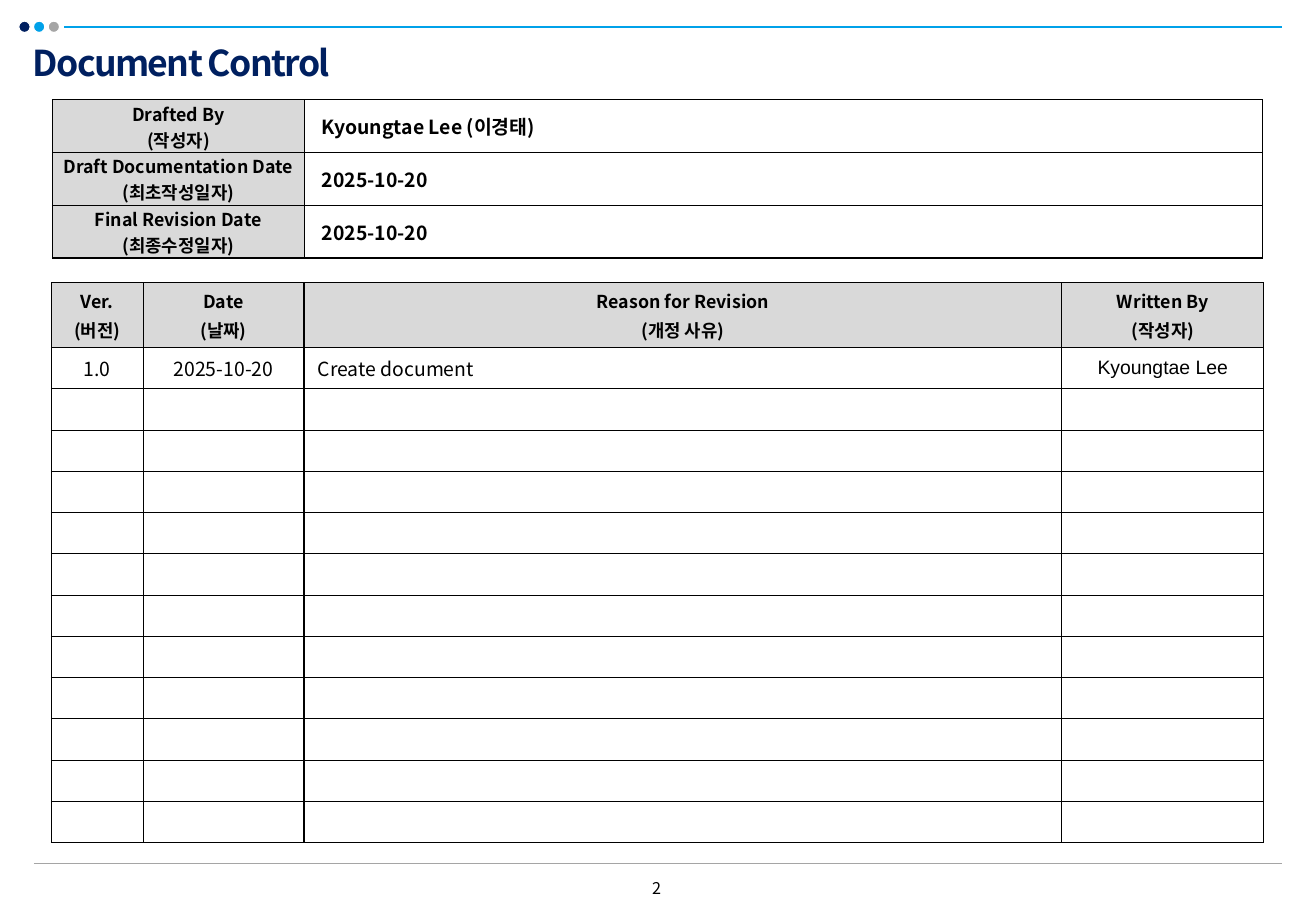
from lxml.etree import SubElement
from pptx import Presentation
from pptx.dml.color import RGBColor
from pptx.enum.shapes import MSO_CONNECTOR, MSO_SHAPE
from pptx.enum.text import MSO_ANCHOR, PP_ALIGN
from pptx.oxml.ns import qn
from pptx.util import Cm, Pt

COLORS = {"navy": "002060", "sky": "00A1E9", "gray": "A5A5A5",
          "header": "D9D9D9", "black": "000000", "white": "FFFFFF"}
FONT = "Noto Sans CJK KR"


def write(frame, text, size=11, bold=False, color="black", font=FONT,
          align=PP_ALIGN.CENTER, before=0, line=1.0, tracking=0):
    for i, words in enumerate(text.split("\n")):
        paragraph = frame.add_paragraph() if i else frame.paragraphs[0]
        paragraph.alignment = align
        paragraph.space_before = Pt(before)
        paragraph.line_spacing = line
        if not words:  # keeps an empty table row at its own height
            SubElement(paragraph._p, qn("a:endParaRPr"), sz=str(size * 100))
            continue
        run = paragraph.add_run()
        run.text = words
        run.font.size = Pt(size)
        run.font.bold = bold
        run.font.name = font
        run.font.color.rgb = RGBColor.from_string(COLORS[color])
        properties = run.font._element
        SubElement(properties, qn("a:ea"), typeface=FONT)
        if tracking:
            properties.set("spc", str(tracking))


def add_grid(left, top, widths, heights):
    grid = slide.shapes.add_table(len(heights), len(widths), Cm(left), Cm(top),
                                  Cm(sum(widths)), Cm(sum(heights))).table
    grid.first_row = grid.horz_banding = False
    for column, width in zip(grid.columns, widths):
        column.width = Cm(width)
    for row, height in zip(grid.rows, heights):
        row.height = Cm(height)
    for cell in grid.iter_cells():
        cell.vertical_anchor = MSO_ANCHOR.MIDDLE
        for side in ("lnL", "lnR", "lnT", "lnB"):
            border = SubElement(cell._tc.get_or_add_tcPr(), qn(f"a:{side}"), w=str(Pt(0.75)))
            SubElement(SubElement(border, qn("a:solidFill")), qn("a:srgbClr"),
                       val=COLORS["black"])
        cell.fill.background()
    return grid


deck = Presentation()
deck.slide_width, deck.slide_height = Cm(28.7), Cm(20)
slide = deck.slides.add_slide(deck.slide_layouts[5])

# Header and footer rules
for start, y, color, weight in ((0.74, 18.84, "gray", 0.75), (1.4, 0.59, "sky", 1.25)):
    rule = slide.shapes.add_connector(MSO_CONNECTOR.STRAIGHT,
                                      Cm(start), Cm(y), Cm(27.95), Cm(y))
    rule.line.color.rgb = RGBColor.from_string(COLORS[color])
    rule.line.width = Pt(weight)
    SubElement(rule._element.spPr, qn("a:effectLst"))

# Header dots
for i, color in enumerate(("navy", "sky", "gray")):
    dot = slide.shapes.add_shape(MSO_SHAPE.OVAL, Cm(0.41 + 0.32 * i), Cm(0.46),
                                 Cm(0.25), Cm(0.25))
    dot.shadow.inherit = False
    dot.fill.solid()
    dot.fill.fore_color.rgb = RGBColor.from_string(COLORS[color])
    dot.line.color.rgb = RGBColor.from_string(COLORS["white"])
    dot.line.width = Pt(0.75)

# Title
title = slide.shapes.title
title.left, title.top, title.width, title.height = Cm(0.46), Cm(0.91), Cm(18.08), Cm(1.02)
title.text_frame.vertical_anchor = MSO_ANCHOR.MIDDLE
write(title.text_frame, "Document Control", size=22, bold=True, color="navy",
      align=PP_ALIGN.LEFT, line=0.9, tracking=-100)

# Page number
page = slide.shapes.add_textbox(Cm(12.67), Cm(19.08), Cm(3.3), Cm(0.51)).text_frame
page.word_wrap = True
page.margin_left = page.margin_right = page.margin_top = page.margin_bottom = 0
write(page, "2", size=10, line=1.2)

# Revision history
HISTORY = [
    ("Ver.\n(버전)", "Date\n(날짜)", "Reason for Revision\n(개정 사유)", "Written By\n(작성자)"),
    ("1.0", "2025-10-20", "Create document", "Kyoungtae Lee"),
] + [("",) * 4] * 11
history = add_grid(1.12, 6.17, (2, 3.51, 16.53, 4.4), [1.41] + [0.9] * 12)
for r, entry in enumerate(HISTORY):
    for c, words in enumerate(entry):
        cell = history.cell(r, c)
        cell.margin_left = cell.margin_right = cell.margin_top = cell.margin_bottom = Cm(0.1)
        if r == 0:
            cell.fill.solid()
            cell.fill.fore_color.rgb = RGBColor.from_string(COLORS["header"])
            write(cell.text_frame, words, bold=True, before=2)
            continue
        if c == 2:
            cell.margin_left = Cm(0.3)
        write(cell.text_frame, words, size=12, before=2,
              font="Arial" if c == 3 else FONT,
              align=PP_ALIGN.LEFT if c == 2 else PP_ALIGN.CENTER)

# Authorship
AUTHORSHIP = [
    ("Drafted By\n(작성자)", "Kyoungtae Lee (이경태)"),
    ("Draft Documentation Date\n(최초작성일자)", "2025-10-20"),
    ("Final Revision Date\n(최종수정일자)", "2025-10-20"),
]
authorship = add_grid(1.14, 2.18, (5.5, 20.9), [1.15] * 3)
for r, (label, value) in enumerate(AUTHORSHIP):
    label_cell, value_cell = authorship.cell(r, 0), authorship.cell(r, 1)
    for cell in (label_cell, value_cell):
        cell.margin_left = cell.margin_right = cell.margin_top = cell.margin_bottom = 0
    label_cell.fill.solid()
    label_cell.fill.fore_color.rgb = RGBColor.from_string(COLORS["header"])
    write(label_cell.text_frame, label, bold=True)
    value_cell.margin_left = Cm(0.38)
    write(value_cell.text_frame, value, size=12, bold=True, align=PP_ALIGN.LEFT)

deck.save("out.pptx")
